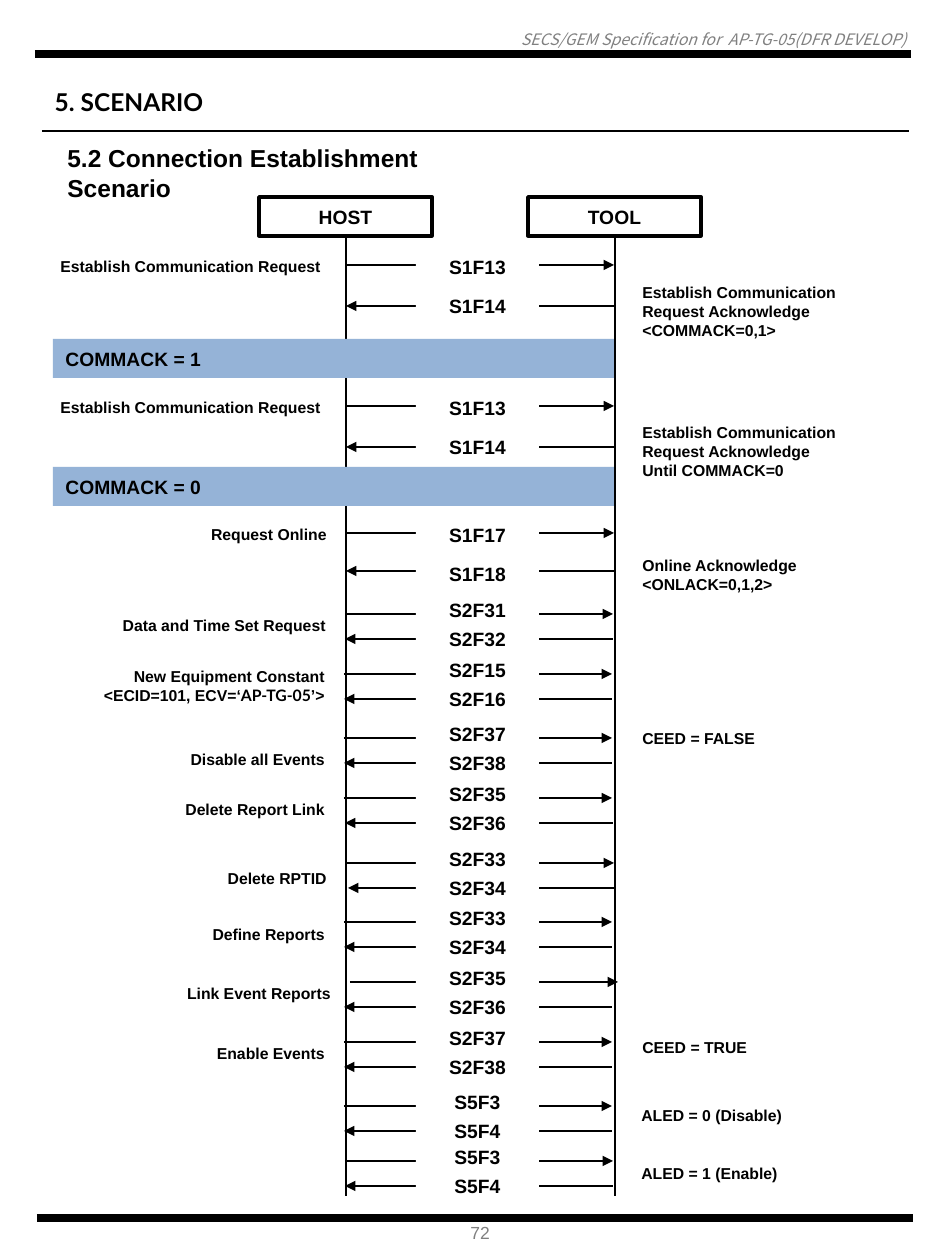
from dataclasses import dataclass
from typing import Optional

from lxml import etree
from pptx import Presentation
from pptx.dml.color import RGBColor
from pptx.enum.shapes import MSO_CONNECTOR, MSO_SHAPE
from pptx.enum.text import MSO_ANCHOR, MSO_AUTO_SIZE, PP_ALIGN
from pptx.oxml.ns import qn
from pptx.util import Emu, Pt

LEFT, CENTER, RIGHT = PP_ALIGN.LEFT, PP_ALIGN.CENTER, PP_ALIGN.RIGHT
TOP, MIDDLE = MSO_ANCHOR.TOP, MSO_ANCHOR.MIDDLE
STRAIGHT, RECT = MSO_CONNECTOR.STRAIGHT, MSO_SHAPE.RECTANGLE
NO_AUTOFIT = MSO_AUTO_SIZE.NONE

PX = 914400 // 126
COLORS = {"ink": "000000", "paper": "FFFFFF", "band": "95B3D7", "muted": "808080"}
HEADING = {"name": "Arial", "size": Pt(14), "bold": True}
MESSAGE = {"name": "Arial", "size": Pt(11), "bold": True}
NOTE = {"name": "Arial", "size": Pt(9), "bold": True}
HEADER = {"name": "Noto Sans CJK KR", "size": Pt(9), "italic": True}
PAGE_NUMBER = {"name": "Arial", "size": Pt(10)}
ALT_FONT = "Lato"

HOST_X, TOOL_X = 346, 615
LIFELINE_TOP, LIFELINE_BOTTOM = 237, 1196
SPAN = 268
ROW_H = 39
NOTE_W = 291


@dataclass
class Exchange:
    """A request and its reply, with the host's label."""
    y: int
    request: str
    reply: str
    x: int = 344
    reply_x: Optional[int] = None
    label: str = ""
    label_y: int = 0
    align: PP_ALIGN = RIGHT
    gap: int = 25
    tall: bool = False


@dataclass
class ToolNote:
    """A remark beside the tool's lifeline."""
    y: int
    text: str
    x: int = 630


ESTABLISH = "Establish Communication Request"
EXCHANGES = [
    Exchange(265, "S1F13", "S1F14", HOST_X, None, ESTABLISH, 247, LEFT, 41, True),
    Exchange(406, "S1F13", "S1F14", HOST_X, None, ESTABLISH, 388, LEFT, 41, True),
    Exchange(533, "S1F17", "S1F18", HOST_X, None, "Request Online", 515, RIGHT, 38, True),
    Exchange(614, "S2F31", "S2F32", 345, None, "Data and Time Set Request", 606),
    Exchange(674, "S2F15", "S2F16", 344, None,
             "New Equipment Constant\n<ECID=101, ECV=‘|AP-TG-05|’>", 666),
    Exchange(738, "S2F37", "S2F38", 344, None, "Disable all Events", 740),
    Exchange(798, "S2F35", "S2F36", 344, 345, "Delete Report Link", 790),
    Exchange(863, "S2F33", "S2F34", HOST_X, 348, "Delete RPTID", 859),
    Exchange(922, "S2F33", "S2F34", 344, None, "Define Reports", 915),
    Exchange(982, "S2F35", "S2F36", 350, 344, "Link Event Reports", 974),
    Exchange(1042, "S2F37", "S2F38", 344, None, "Enable Events", 1034),
    Exchange(1106, "S5F3", "S5F4"),
    Exchange(1161, "S5F3", "S5F4", 345),
]
TOOL_NOTES = [
    ToolNote(292, "Establish Communication\nRequest Acknowledge\n<COMMACK=0,1>"),
    ToolNote(432, "Establish Communication\nRequest Acknowledge\nUntil COMMACK=0"),
    ToolNote(555, "Online Acknowledge\n<ONLACK=0,1,2>"),
    ToolNote(719, "CEED = FALSE"),
    ToolNote(1028, "CEED = TRUE"),
    ToolNote(1096, "ALED = 0 (Disable)", 629),
    ToolNote(1154, "ALED = 1 (Enable)", 629),
]


def rgb(color: str) -> RGBColor:
    """Look up a colour by its role."""
    return RGBColor.from_string(COLORS[color])


def put_text(tf, text: str, style: dict, align=LEFT, anchor=MIDDLE, color="ink", wrap=True) -> None:
    """Write lines of text; a part between bars takes the second font."""
    tf.auto_size, tf.word_wrap, tf.vertical_anchor = NO_AUTOFIT, wrap, anchor
    for i, line in enumerate(text.split("\n")):
        p = tf.paragraphs[0] if i == 0 else tf.add_paragraph()
        p.alignment = align
        for j, part in enumerate(line.split("|")):
            r = p.add_run()
            r.text = part
            for key, value in style.items():
                setattr(r.font, key, value)
            if j % 2:
                r.font.name = ALT_FONT
            r.font.color.rgb = rgb(color)


def add_label(s, x: int, y: int, w: int, h: int, text: str, style: dict, **options):
    """Add a text box and return its text frame."""
    tf = s.shapes.add_textbox(x * PX, y * PX, w * PX, h * PX).text_frame
    put_text(tf, text, style, **options)
    return tf


def add_box(s, x: int, y: int, w: int, h: int, text: str, fill="paper", border=0, align=CENTER) -> None:
    """Add a filled rectangle with text."""
    sp = s.shapes.add_shape(RECT, x * PX, y * PX, w * PX, h * PX)
    sp.shadow.inherit = False
    sp.fill.solid()
    sp.fill.fore_color.rgb = rgb(fill)
    if border:
        sp.line.color.rgb = rgb("ink")
        sp.line.width = Pt(border)
    else:
        sp.line.fill.background()
    put_text(sp.text_frame, text, MESSAGE, align=align)


def add_line(s, x1: int, y1: int, x2: int, y2: int, width=0.75, arrow=False) -> None:
    """Add a line, with an arrowhead at its end if wanted."""
    line = s.shapes.add_connector(STRAIGHT, x1 * PX, y1 * PX, x2 * PX, y2 * PX)
    line.line.color.rgb = rgb("ink")
    line.line.width = Pt(width)
    if arrow:
        etree.SubElement(line.line._get_or_add_ln(), qn("a:tailEnd"), type="triangle")
    etree.SubElement(line._element.spPr, qn("a:effectLst"))


def add_exchange(s, e: Exchange) -> None:
    """Draw the two arrows, message names and label of an exchange."""
    reply_x = e.x if e.reply_x is None else e.reply_x
    reply_y = e.y + e.gap
    add_line(s, e.x, e.y, e.x + SPAN, e.y, arrow=True)
    add_line(s, reply_x + SPAN, reply_y, reply_x, reply_y, arrow=True)
    rise, drop, h = (18, 21, ROW_H) if e.tall else (14, 15, 20)
    for y, name in ((e.y - rise, e.request), (e.y + drop, e.reply)):
        add_box(s, 416, y, 123, h, name)
    if e.label:
        add_label(s, e.x - 7 - NOTE_W, e.label_y, NOTE_W, ROW_H, e.label, NOTE, align=e.align)


def add_frame(s) -> None:
    """Draw the title, running header, rules and page number."""
    title = s.shapes.title
    title.left, title.top, title.width, title.height = (Emu(v * PX) for v in (42, 81, 189, 43))
    put_text(title.text_frame, "5. SCENARIO", {**HEADING, "name": ALT_FONT}, anchor=TOP, wrap=False)
    tf = add_label(s, 6, 30, 900, 19, "SECS/GEM Specification for  AP-TG-05(DFR DEVELOP)",
                   HEADER, align=RIGHT, anchor=TOP, color="muted")
    for side in ("left", "top", "right", "bottom"):
        setattr(tf, f"margin_{side}", 0)
    add_line(s, 35, 54, 911, 54, 4.75)
    add_line(s, 42, 131, 909, 131)
    add_line(s, 37, 1218, 913, 1218, 4.75)
    add_label(s, 458, 1216, 47, 34, "72", PAGE_NUMBER, anchor=TOP, color="muted", wrap=False)
    add_label(s, 55, 137, 470, 43, "5.2 Connection Establishment Scenario", HEADING, anchor=TOP)


def main() -> None:
    """Build the slide and save it."""
    prs = Presentation()
    prs.slide_width, prs.slide_height = 945 * PX, 1260 * PX
    s = prs.slides.add_slide(prs.slide_layouts[5])
    add_frame(s)
    for x, name in ((HOST_X, "HOST"), (TOOL_X, "TOOL")):
        add_line(s, x, LIFELINE_TOP, x, LIFELINE_BOTTOM)
        add_box(s, x - 87, 197, 173, ROW_H, name, border=2)
    for y, name in ((339, "COMMACK = 1"), (467, "COMMACK = 0")):
        add_box(s, 53, y, 561, ROW_H, name, fill="band", align=LEFT)
    for exchange in EXCHANGES:
        add_exchange(s, exchange)
    for note in TOOL_NOTES:
        add_label(s, note.x, note.y, NOTE_W, ROW_H, note.text, NOTE)
    prs.save("out.pptx")


main()
